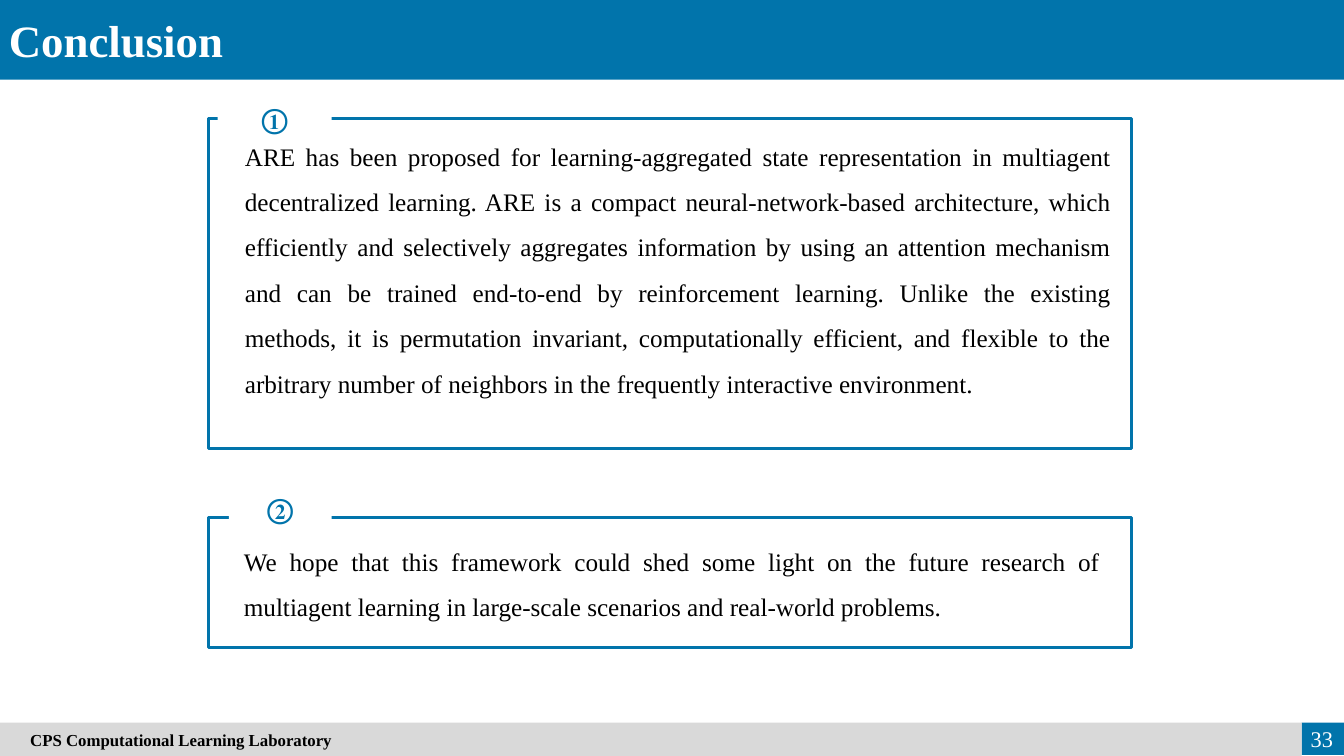
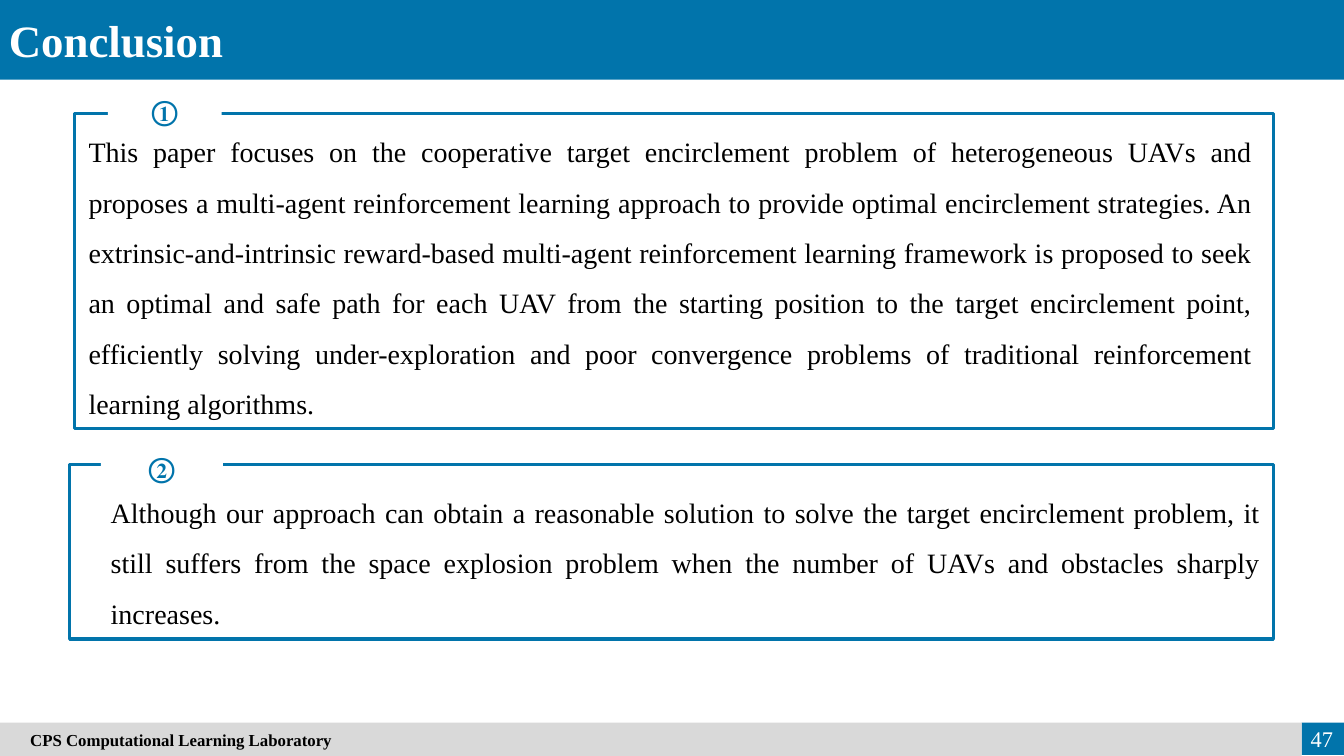
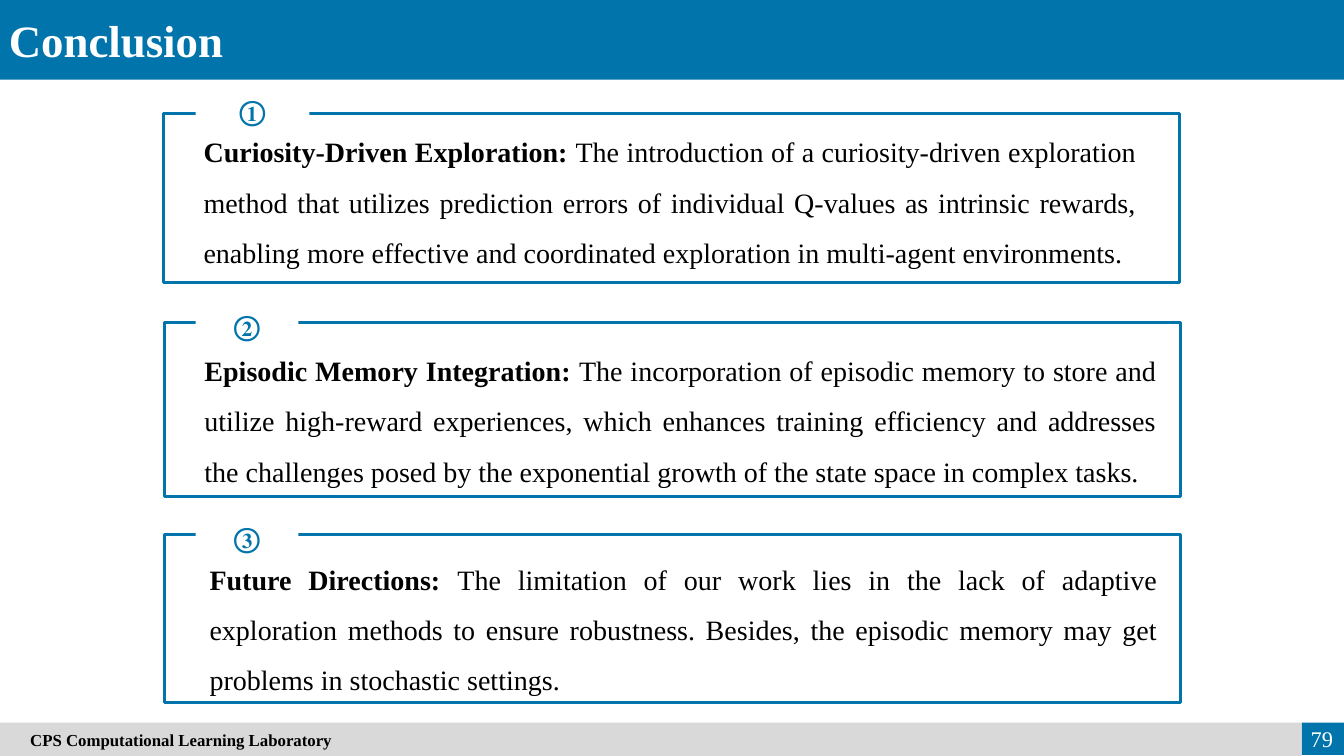
from pptx import Presentation
from pptx.dml.color import RGBColor
from pptx.enum.shapes import MSO_SHAPE
from pptx.enum.text import MSO_ANCHOR, PP_ALIGN
from pptx.util import Inches, Pt

RECT = MSO_SHAPE.RECTANGLE
TOP, MID = MSO_ANCHOR.TOP, MSO_ANCHOR.MIDDLE
LEFT, MIDDLE, RIGHT, FULL = PP_ALIGN.LEFT, PP_ALIGN.CENTER, PP_ALIGN.RIGHT, PP_ALIGN.JUSTIFY
BLUE, GRAY, WHITE, BLACK = "0174AB", "D9D9D9", "FFFFFF", "000000"
FONT = "Times New Roman"
MARKS = "①②③"

TALKS = [
    (33, 18, [
        ((2.07, 1.18, 9.15, 3.27), (2.16, 0.9, 1.13), (2.33, 1.2, 8.79, 2.29), "",
         "ARE has been proposed for learning-aggregated state representation in multiagent "
         "decentralized learning. ARE is a compact neural-network-based architecture, which "
         "efficiently and selectively aggregates information by using an attention mechanism "
         "and can be trained end-to-end by reinforcement learning. Unlike the existing methods, "
         "it is permutation invariant, computationally efficient, and flexible to the arbitrary "
         "number of neighbors in the frequently interactive environment."),
        ((2.07, 5.13, 9.15, 1.29), (2.27, 4.77, 1.02), (2.32, 5.22, 8.69, 1.01), "",
         "We hope that this framework could shed some light on the future research of "
         "multiagent learning in large-scale scenarios and real-world problems."),
    ]),
    (47, 20, [
        ((0.74, 1.13, 11.89, 3.12), (1.07, 0.82, 1.13), (0.78, 1.12, 11.74, 3.13), "",
         "This paper focuses on the cooperative target encirclement problem of heterogeneous "
         "UAVs and proposes a multi-agent reinforcement learning approach to provide optimal "
         "encirclement strategies. An extrinsic-and-intrinsic reward-based multi-agent "
         "reinforcement learning framework is proposed to seek an optimal and safe path for "
         "each UAV from the starting position to the target encirclement point, efficiently "
         "solving under-exploration and poor convergence problems of traditional reinforcement "
         "learning algorithms."),
        ((0.69, 4.61, 11.94, 1.73), (1, 4.36, 1.21), (1, 4.7, 11.6, 1.61), "",
         "Although our approach can obtain a reasonable solution to solve the target "
         "encirclement problem, it still suffers from the space explosion problem when the "
         "number of UAVs and obstacles sharply increases."),
    ]),
    (79, 20, [
        ((1.62, 1.13, 10.08, 1.67), (1.94, 0.82, 1.13), (1.92, 1.12, 9.45, 1.61),
         "Curiosity-Driven Exploration: ",
         "The introduction of a curiosity-driven exploration method that utilizes prediction "
         "errors of individual Q-values as intrinsic rewards, enabling more effective and "
         "coordinated exploration in multi-agent environments."),
        ((1.63, 3.2, 10.08, 1.73), (1.94, 2.95, 1.02), (1.93, 3.29, 9.64, 1.61),
         "Episodic Memory Integration: ",
         "The incorporation of episodic memory to store and utilize high-reward experiences, "
         "which enhances training efficiency and addresses the challenges posed by the "
         "exponential growth of the state space in complex tasks."),
        ((1.63, 5.3, 10.08, 1.67), (1.94, 5.06, 1.02), (1.98, 5.36, 9.6, 1.61),
         "Future Directions: ",
         "The limitation of our work lies in the lack of adaptive exploration methods to ensure "
         "robustness. Besides, the episodic memory may get problems in stochastic settings."),
    ]),
]


def color(code):
    return RGBColor.from_string(code)


def write(shape, text, lead="", size=20, ink=BLACK, bold=False, align=LEFT,
          anchor=TOP, space=1.0, inset=0.1):
    frame = shape.text_frame
    frame.word_wrap = True
    frame.vertical_anchor = anchor
    frame.margin_left = Inches(inset)
    para = frame.paragraphs[0]
    para.alignment = align
    para.line_spacing = space
    for part, heavy in ((lead, True), (text, bold)):
        if part:
            run = para.add_run()
            run.text = part
            run.font.name = FONT
            run.font.size = Pt(size)
            run.font.bold = heavy
            run.font.color.rgb = color(ink)


class Deck:
    """Builds conclusion slides in one shared style."""

    def __init__(self):
        self.show = Presentation()
        self.show.slide_width = Inches(13.33)
        self.show.slide_height = Inches(7.5)
        self.slide = None

    def box(self, area, fill=None, line=None):
        shape = self.slide.shapes.add_shape(RECT, *map(Inches, area))
        shape.shadow.inherit = False
        if fill:
            shape.fill.solid()
            shape.fill.fore_color.rgb = color(fill)
        else:
            shape.fill.background()
        if line:
            shape.line.color.rgb = color(line)
            shape.line.width = Pt(2.25)
        else:
            shape.line.fill.background()
        return shape

    def label(self, area, text, **style):
        write(self.slide.shapes.add_textbox(*map(Inches, area)), text, **style)

    def page(self, title, number):
        self.slide = self.show.slides.add_slide(self.show.slide_layouts[6])
        self.box((0, 0, 13.33, 0.79), BLUE)
        self.label((-0.01, 0.08, 5.37, 0.64), title, size=32, ink=WHITE, bold=True, align=FULL)
        self.box((12.91, 7.17, 0.42, 0.32), BLUE)
        foot = self.box((0, 7.17, 12.91, 0.33), GRAY)
        write(foot, "CPS Computational Learning Laboratory", size=12, bold=True,
              anchor=MID, inset=0.3)
        self.label((12.69, 7.13, 0.63, 0.4), str(number), size=16, ink=WHITE,
                   align=RIGHT, anchor=MID)

    def point(self, mark, frame, tag, area, lead, text, size):
        self.box(frame, line=BLUE)
        write(self.box((*tag, 0.55), WHITE), mark, ink=BLUE, bold=True,
              align=MIDDLE, anchor=MID)
        self.label(area, text, lead=lead, size=size, align=FULL, space=1.5)


def main():
    deck = Deck()
    for number, size, points in TALKS:
        deck.page("Conclusion", number)
        for mark, point in zip(MARKS, points):
            deck.point(mark, *point, size)
    deck.show.save("out.pptx")


if __name__ == "__main__":
    main()
